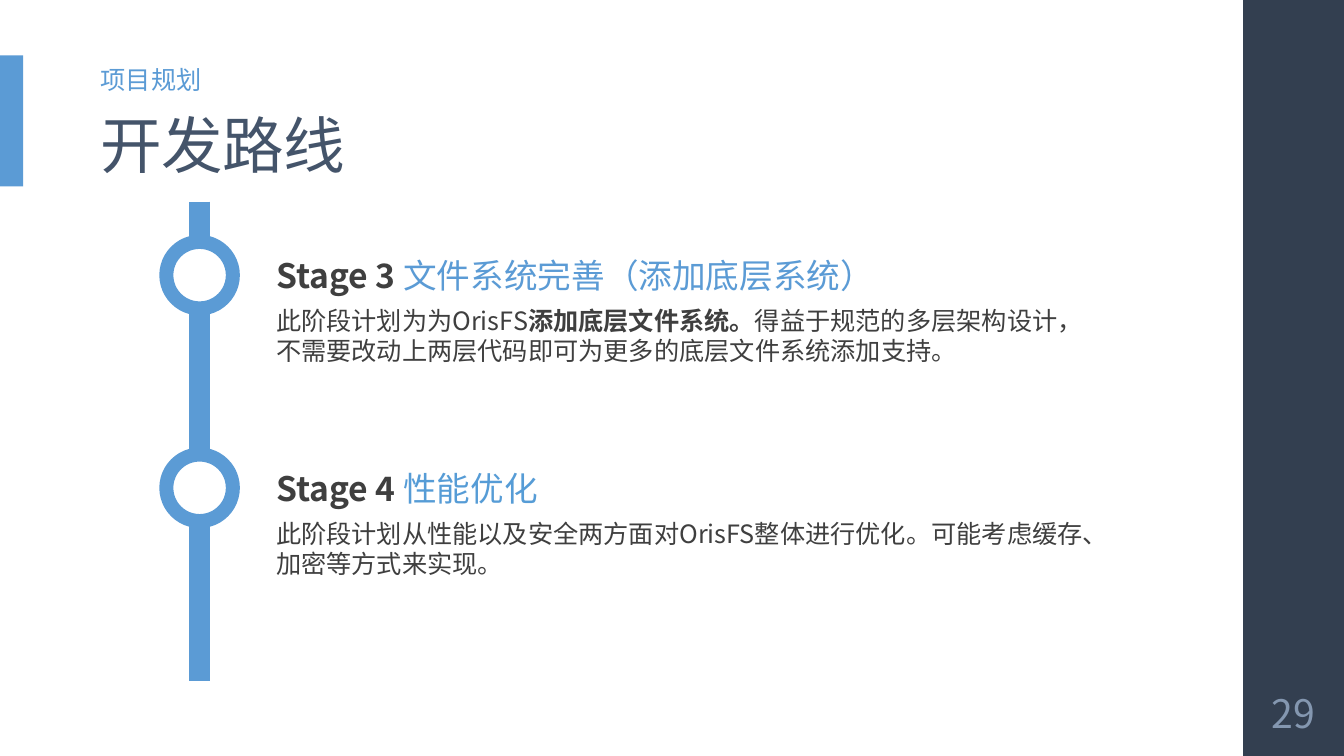
from pptx import Presentation
from pptx.dml.color import RGBColor
from pptx.enum.shapes import MSO_CONNECTOR, MSO_SHAPE
from pptx.enum.text import MSO_ANCHOR as Anchor, PP_ALIGN as Align
from pptx.oxml.ns import qn
from pptx.util import Inches, Pt
from lxml.etree import SubElement

WHITE = RGBColor(0xFF, 0xFF, 0xFF)
BLUE = RGBColor(0x5B, 0x9B, 0xD5)
CODE = RGBColor(0x56, 0x9C, 0xD6)
NAVY = RGBColor(0x33, 0x3F, 0x50)
SLATE = RGBColor(0x44, 0x54, 0x6A)
GREY = RGBColor(0x84, 0x97, 0xB0)
INK = RGBColor(0x3F, 0x3F, 0x3F)
SANS, MONO = "Noto Sans CJK SC", "Courier New"

WIDE, HIGH = 13.33, 7.5
SIDE = 1          # width of the right bar
LEFT = 0.9        # left edge of the heading
PITCH = 2.11      # distance between stages
RING = 0.66

STAGES = [
    ([("Stage 3 ", INK, True, SANS),
      ("文件系统完善（添加底层系统）", BLUE, False, SANS)],
     [("此阶段计划为为OrisFS", INK, False, SANS),
      ("添加底层文件系统。", INK, True, SANS),
      ("得益于规范的多层架构设计，不需要改动上两层代码即可为更多的底层文件系统添加支持。",
       INK, False, SANS)]),
    ([("Stage 4 ", INK, True, SANS),
      ("性能优化", CODE, False, MONO)],
     [("此阶段计划从性能以及安全两方面对OrisFS整体进行优化。可能考虑缓存、加密等方式来实现。",
       INK, False, SANS)]),
]


def add_text(slide, box, runs, size, anchor=Anchor.TOP, space=None, inset=0.1, **form):
    """Runs are (text, colour, bold, font); form holds paragraph formats."""
    frame = slide.shapes.add_textbox(*map(Inches, box)).text_frame
    frame.word_wrap = True
    frame.vertical_anchor = anchor
    frame.margin_left = frame.margin_right = Inches(inset)
    para = frame.paragraphs[0]
    for key, value in form.items():
        setattr(para, key, value)
    for text, tint, bold, face in runs:
        run = para.add_run()
        run.text = text
        for key, value in {"size": Pt(size), "bold": bold, "name": face}.items():
            setattr(run.font, key, value)
        run.font.color.rgb = tint
        props = run.font._element
        SubElement(props, qn("a:ea")).set("typeface", SANS)
        if space:
            props.set("spc", str(space))


def add_form(slide, kind, box, fill, line=None, width=0):
    form = slide.shapes.add_shape(kind, *map(Inches, box))
    form.shadow.inherit = False
    form.fill.solid()
    form.fill.fore_color.rgb = fill
    if line is None:
        form.line.fill.background()
    else:
        form.line.color.rgb = line
        form.line.width = Pt(width)


def add_frame(slide, number):
    """Side bar with page number, and the accent at the left edge."""
    x = WIDE - SIDE
    add_form(slide, MSO_SHAPE.RECTANGLE, (x, 0, SIDE, HIGH), NAVY)
    add_form(slide, MSO_SHAPE.RECTANGLE, (0, 0.55, 0.23, 1.3), BLUE)
    add_text(slide, (x, HIGH * 0.9, SIDE, 0.65), [(number, GREY, False, SANS)], 28,
             Anchor.MIDDLE, inset=0.05, alignment=Align.CENTER)


def add_head(slide, box, title, topic):
    x, y, w, h = box
    add_text(slide, (x, y + 0.49, w, h - 0.49), [(title, SLATE, False, SANS)], 44,
             Anchor.BOTTOM, -50, line_spacing=0.9)
    add_text(slide, (x, y, w, 0.44), [(topic, BLUE, False, SANS)], 18,
             Anchor.BOTTOM, 10, line_spacing=0.95,
             space_before=Pt(14), space_after=Pt(2))


def add_route(slide, box):
    """Vertical line with one ring and its texts for each stage."""
    x, y, w, h = box
    mid = x + RING / 2
    line = slide.shapes.add_connector(
        MSO_CONNECTOR.STRAIGHT, *map(Inches, (mid, y, mid, y + h)))
    line.line.color.rgb = BLUE
    line.line.width = Pt(15)
    SubElement(line._element.spPr, qn("a:effectLst"))
    for i, (name, body) in enumerate(STAGES):
        top = y + 0.4 + i * PITCH
        add_form(slide, MSO_SHAPE.OVAL, (x, top, RING, RING), WHITE, BLUE, 10)
        add_text(slide, (x + 0.99, top + 0.08, 6.68, 0.5), name, 24)
        add_text(slide, (x + 0.99, top + 0.58, w - 0.99, 0.71), body, 18)


def main():
    deck = Presentation()
    deck.slide_width, deck.slide_height = Inches(WIDE), Inches(HIGH)
    slide = deck.slides.add_slide(deck.slide_layouts[6])
    add_frame(slide, "29")
    add_head(slide, (LEFT, 0.55, 10.66, 1.3), "开发路线", "项目规划")
    add_route(slide, (1.65, 2, 9.23, 4.76))
    deck.save("out.pptx")


if __name__ == "__main__":
    main()
